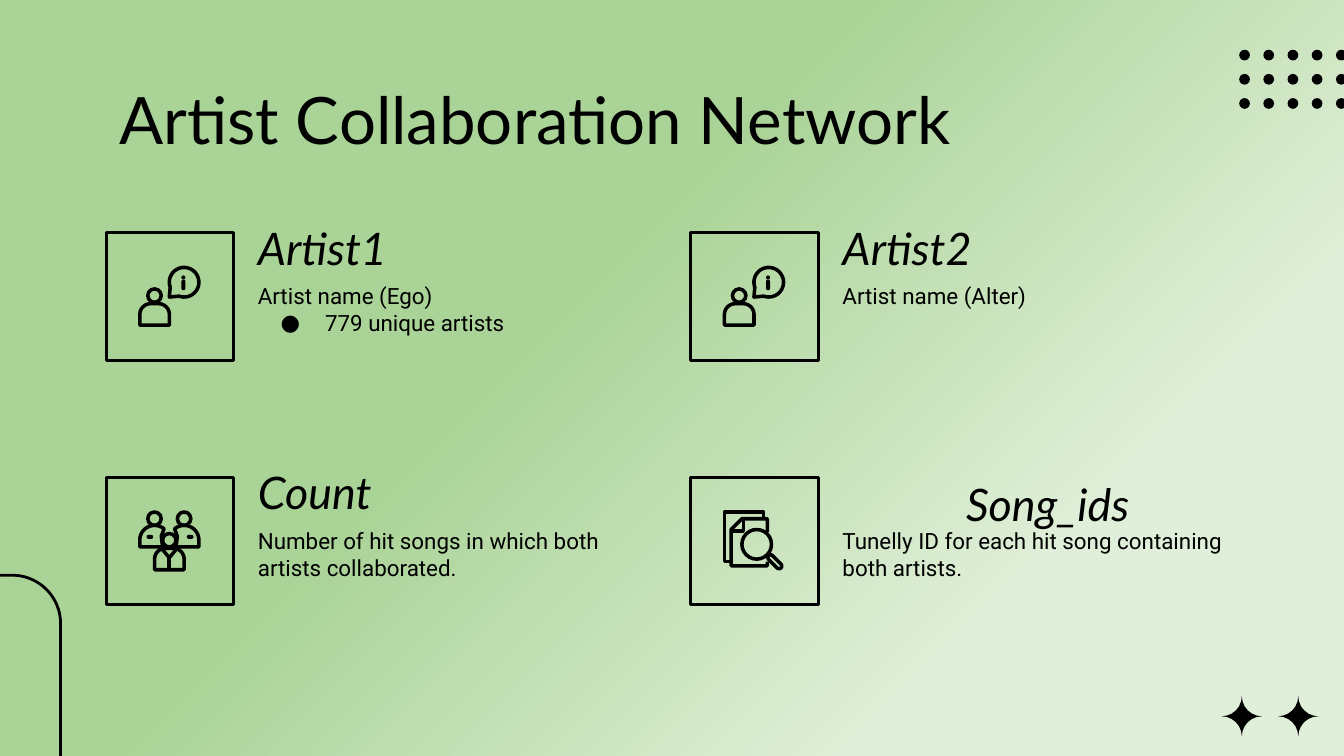
import math
from copy import deepcopy
from dataclasses import dataclass, field

from lxml import etree
from pptx import Presentation
from pptx.dml.color import RGBColor
from pptx.enum import shapes, text
from pptx.oxml.ns import qn
from pptx.util import Inches, Pt

KIND = shapes.MSO_SHAPE


@dataclass
class Theme:
    ink: RGBColor = field(default_factory=lambda: RGBColor.from_string("000000"))
    gradient: tuple = ((0, "E0EFD9"), (0.23, "E0EFD9"), (0.59, "AAD397"), (1, "AAD397"))
    gradient_angle: int = 135
    heading_font: str = "Lato"
    body_font: str = "Roboto"
    title_size: int = 35
    heading_size: int = 24
    body_size: int = 12
    frame_line: float = 1.5
    icon_line: float = 1.9


def arc(cx, cy, radius, start, end, steps=36):
    """Points along an arc; degrees run clockwise from the right."""
    angles = [math.radians(start + (end - start) * i / steps) for i in range(steps + 1)]
    return [(cx + radius * math.cos(a), cy + radius * math.sin(a)) for a in angles]


class SlideBuilder:
    def __init__(self, slide, theme):
        self.slide = slide
        self.theme = theme

    def background(self):
        fill = self.slide.background.fill
        fill.gradient()
        fill.gradient_angle = self.theme.gradient_angle
        stops = next(self.slide.element.iter(qn("a:gsLst")))
        while len(stops) < len(self.theme.gradient):
            stops.append(deepcopy(stops[0]))
        for stop, (position, colour) in zip(fill.gradient_stops, self.theme.gradient):
            stop.position = position
            stop.color.rgb = RGBColor.from_string(colour)

    def paint(self, shape, line=None):
        """Outline the shape at the given width, or fill it if there is none."""
        shape.shadow.inherit = False
        if line:
            shape.fill.background()
            shape.line.color.rgb = self.theme.ink
            shape.line.width = Pt(line)
        else:
            shape.fill.solid()
            shape.fill.fore_color.rgb = self.theme.ink
            shape.line.fill.background()
        return shape

    def shape(self, kind, left, top, width, height, line=None, adjust=None, turn=0):
        shape = self.slide.shapes.add_shape(
            kind, Inches(left), Inches(top), Inches(width), Inches(height))
        if adjust is not None:
            shape.adjustments[0] = adjust
        shape.rotation = turn
        return self.paint(shape, line)

    def ring(self, cx, cy, radius):
        self.shape(KIND.OVAL, cx - radius, cy - radius, 2 * radius, 2 * radius,
                   self.theme.icon_line)

    def stroke(self, x, y, points, close=False):
        """Draw an icon outline through points relative to x, y."""
        corners = [(Inches(x + dx), Inches(y + dy)) for dx, dy in points]
        builder = self.slide.shapes.build_freeform(*corners[0])
        builder.add_line_segments(corners[1:], close=close)
        self.paint(builder.convert_to_shape(), self.theme.icon_line)

    def textbox(self, left, top, width, height, lines, font, size,
                italic=False, anchor=text.MSO_ANCHOR.TOP):
        box = self.slide.shapes.add_textbox(
            Inches(left), Inches(top), Inches(width), Inches(height))
        frame = box.text_frame
        frame.word_wrap = True
        frame.vertical_anchor = anchor
        frame.margin_left = frame.margin_right = Inches(0.1)
        frame.margin_top = frame.margin_bottom = Inches(0.1)
        frame.text = "\n".join(lines)
        for paragraph in frame.paragraphs:
            paragraph.font.name = font
            paragraph.font.size = Pt(size)
            paragraph.font.italic = italic
            paragraph.font.color.rgb = self.theme.ink
        return frame

    def title(self, words):
        self.textbox(0.79, 0.49, 8.43, 0.63, [words],
                     self.theme.heading_font, self.theme.title_size)

    def heading(self, left, top, words):
        self.textbox(left, top, 3.05, 0.41, [words], self.theme.heading_font,
                     self.theme.heading_size, True, text.MSO_ANCHOR.BOTTOM)

    def body(self, left, top, lines):
        """Write the first line plain and the others as bullets."""
        frame = self.textbox(left, top, 3.05, 0.68, lines,
                             self.theme.body_font, self.theme.body_size)
        for paragraph in frame.paragraphs[1:]:
            properties = paragraph._p.get_or_add_pPr()
            properties.set("marL", str(Inches(0.5)))
            properties.set("indent", str(Inches(-0.33)))
            bullet_font = etree.Element(qn("a:buFont"), typeface=self.theme.body_font)
            properties.insert(0, bullet_font)
            properties.insert(1, etree.Element(qn("a:buChar"), char="●"))

    def person(self, x, y):
        self.ring(x + 0.12, y + 0.06, 0.05)
        self.shape(KIND.ROUND_2_SAME_RECTANGLE, x + 0.01, y + 0.12, 0.22, 0.16,
                   self.theme.icon_line, adjust=0.5)

    def informed_person_icon(self, x, y):
        self.person(x, y + 0.16)
        bubble = arc(0.34, 0.12, 0.11, 160, 470) + [(0.23, 0.23)]
        self.stroke(x, y, bubble, close=True)
        self.shape(KIND.OVAL, x + 0.32, y + 0.07, 0.03, 0.03)
        self.shape(KIND.ROUNDED_RECTANGLE, x + 0.32, y + 0.1, 0.03, 0.08, adjust=0.5)

    def group_icon(self, x, y):
        middle = 0.23
        shoulder = [(0.18, 0.27), (0.01, 0.27)] + arc(0.12, 0.22, 0.11, 180, 310)
        shoulder.append((0.17, 0.19))
        for side in (1, -1):
            self.ring(x + middle - side * 0.11, y + 0.06, 0.05)
            mirrored = [(middle + side * (dx - middle), dy) for dx, dy in shoulder]
            self.stroke(x, y, mirrored, close=True)
            self.shape(KIND.ROUNDED_RECTANGLE, x + middle - side * 0.15 - 0.02, y + 0.18,
                       0.05, 0.03, adjust=0.5)
        self.person(x + 0.11, y + 0.16)
        self.stroke(x, y, [(0.18, 0.29), (middle, 0.35), (0.28, 0.29)])
        self.stroke(x, y, [(middle, 0.35), (middle, 0.43)])

    def search_icon(self, x, y):
        back_page = [(0.06, 0.38), (0.01, 0.38), (0.01, 0.01), (0.3, 0.01), (0.3, 0.06)]
        front_page = [(0.33, 0.16), (0.33, 0.06), (0.14, 0.06), (0.06, 0.14),
                      (0.06, 0.41), (0.33, 0.41), (0.33, 0.38)]
        fold = [(0.06, 0.15), (0.15, 0.15), (0.15, 0.06)]
        for points in (back_page, front_page, fold):
            self.stroke(x, y, points)
        self.ring(x + 0.25, y + 0.25, 0.11)
        self.shape(KIND.ROUNDED_RECTANGLE, x + 0.32, y + 0.36, 0.13, 0.04,
                   self.theme.icon_line, adjust=0.5, turn=45)

    def decorations(self):
        self.shape(KIND.ROUNDED_RECTANGLE, -0.99, 4.28, 1.44, 2.08,
                   self.theme.frame_line, adjust=0.25, turn=180)
        for row in range(3):
            for column in range(5):
                self.shape(KIND.OVAL, 9.22 + 0.18 * column, 0.37 + 0.18 * row, 0.08, 0.08)
        for left in (9.09, 9.51):
            self.shape(KIND.PLAQUE, left, 5.18, 0.3, 0.3, adjust=0.5)

    def field_card(self, column, row, name, lines, icon, name_shift=(0, 0)):
        left, top = 0.79 + 4.35 * column, 1.73 + 1.82 * row
        self.shape(KIND.RECTANGLE, left, top, 0.95, 0.95, self.theme.frame_line)
        icon(left + 0.24, top + 0.25)
        self.heading(left + 1.03 + name_shift[0], top + name_shift[1], name)
        self.body(left + 1.03, top + 0.27, lines)


def main():
    deck = Presentation()
    # Widescreen, 16:9
    deck.slide_width, deck.slide_height = Inches(10), Inches(10 * 9 / 16)
    page = SlideBuilder(deck.slides.add_slide(deck.slide_layouts[6]), Theme())
    page.background()
    page.decorations()
    page.title("Artist Collaboration Network")
    page.field_card(0, 0, "Artist1", ["Artist name (Ego)", "779 unique artists"],
                    page.informed_person_icon)
    page.field_card(1, 0, "Artist2", ["Artist name (Alter)"], page.informed_person_icon)
    page.field_card(0, 1, "Count",
                    ["Number of hit songs in which both artists collaborated."],
                    page.group_icon)
    page.field_card(1, 1, "Song_ids",
                    ["Tunelly ID for each hit song containing both artists."],
                    page.search_icon, name_shift=(0.92, 0.09))
    deck.save("out.pptx")


if __name__ == "__main__":
    main()
